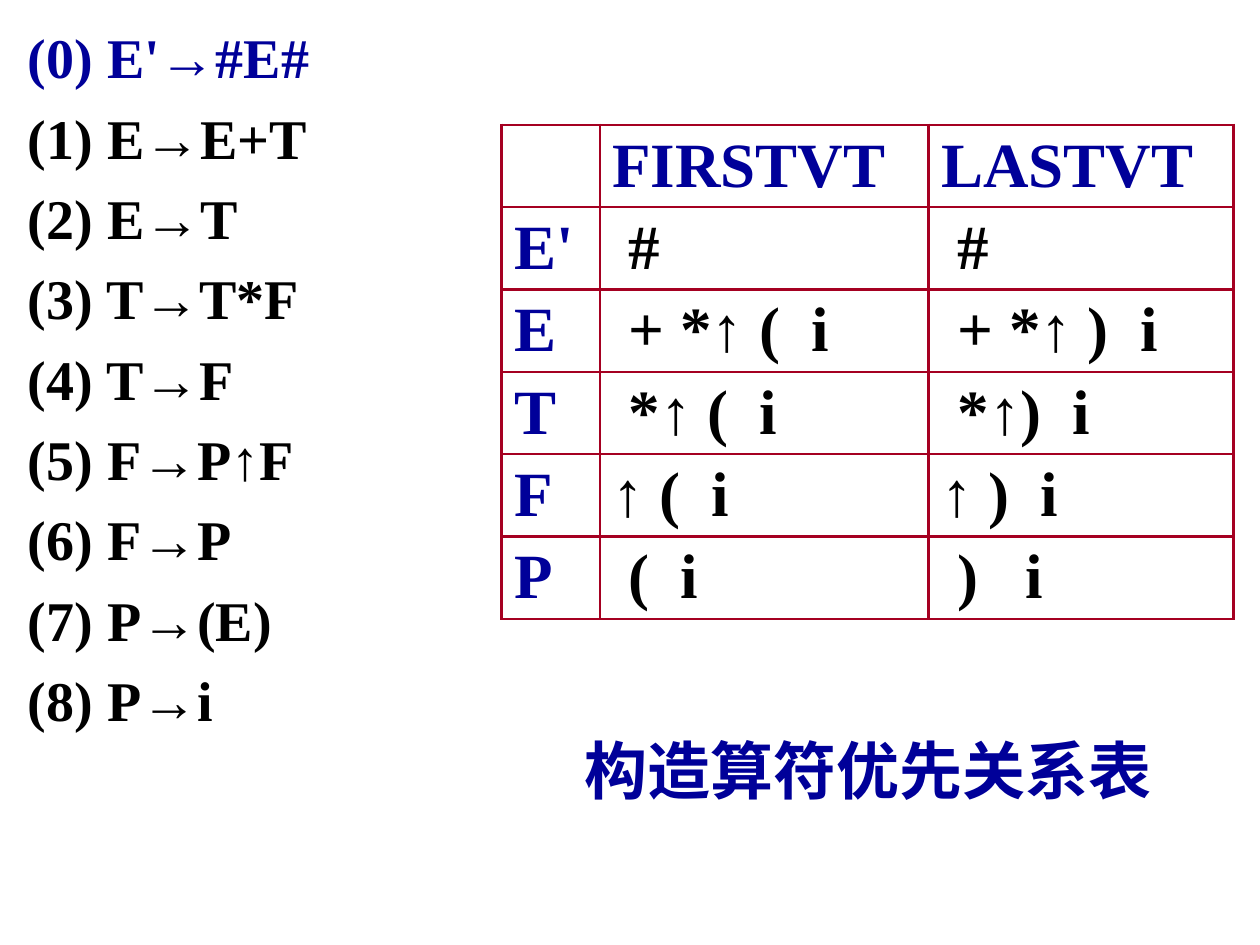
from pptx import Presentation
from pptx.dml.color import RGBColor
from pptx.enum.text import MSO_ANCHOR as Anchor, PP_ALIGN as Align
from pptx.oxml.ns import qn
from pptx.util import Inches, Pt
from lxml import etree

NAVY = RGBColor(0x00, 0x00, 0x99)
BLACK = RGBColor(0x00, 0x00, 0x00)
CRIMSON = RGBColor(0xA5, 0x00, 0x21)

PRODUCTIONS = ["E'→#E#", "E→E+T", "E→T", "T→T*F", "T→F", "F→P↑F", "F→P", "P→(E)", "P→i"]

# Each set: left indent, symbols, tab position of the last symbol (inches)
SETS = {
    "E'": [(0.13, "#", 0), (0.13, "#", 0)],
    "E": [(0.13, "+ *↑ (\ti", 1.45), (0.13, "+ *↑ )\ti", 1.45)],
    "T": [(0.13, "*↑ (\ti", 1.04), (0.13, "*↑)\ti", 0.91)],
    "F": [(0, "↑ (\ti", 0.79), (0, "↑ )\ti", 0.79)],
    "P": [(0.13, "(\ti", 0.41), (0.13, ")\ti", 0.54)],
}


class SlideBuilder:
    font_format = {"name": "Times New Roman", "bold": True}

    def __init__(self, presentation):
        self.slide = presentation.slides.add_slide(presentation.slide_layouts[1])

    def place(self, shape, left, top, width, height):
        box = {"left": left, "top": top, "width": width, "height": height}
        for name, value in box.items():
            setattr(shape, name, Inches(value))

    def set_text(self, paragraph, text, size, color):
        paragraph.text = text
        for name, value in {**self.font_format, "size": Pt(size)}.items():
            setattr(paragraph.font, name, value)
        paragraph.font.color.rgb = color

    def add_title(self, text, *box):
        title = self.slide.shapes.title
        self.place(title, *box)
        title.text_frame.vertical_anchor = Anchor.MIDDLE
        paragraph = title.text_frame.paragraphs[0]
        self.set_text(paragraph, text, 36, NAVY)
        paragraph.alignment = Align.CENTER

    def add_productions(self, productions, *box):
        body = self.slide.placeholders[1]
        self.place(body, *box)
        frame = body.text_frame
        for number, production in enumerate(productions):
            paragraph = frame.add_paragraph() if number else frame.paragraphs[0]
            properties = paragraph._p.get_or_add_pPr()
            properties.set("marL", str(Inches(0.38)))
            properties.set("indent", str(-Inches(0.38)))
            etree.SubElement(properties, qn("a:buNone"))
            self.set_text(paragraph, f"({number}) {production}", 32, BLACK if number else NAVY)
            paragraph.space_before = Pt(7.5 if number else 0)

    def add_table(self, header, sets, left, top, column_widths, row_height):
        row_count = len(sets) + 1
        table = self.slide.shapes.add_table(
            row_count, len(column_widths), Inches(left), Inches(top),
            Inches(sum(column_widths)), Inches(row_height * row_count)).table
        for column, width in zip(table.columns, column_widths):
            column.width = Inches(width)
        for row in table.rows:
            row.height = Inches(row_height)
        for cell in table.iter_cells():
            self.frame_cell(cell)
        for column, text in enumerate(header):
            self.fill_cell(table.cell(0, column), text, NAVY)
        for row, (symbol, entries) in enumerate(sets.items(), 1):
            self.fill_cell(table.cell(row, 0), symbol, NAVY)
            for column, (indent, text, tab) in enumerate(entries, 1):
                self.fill_cell(table.cell(row, column), text, BLACK, indent, tab)

    def frame_cell(self, cell):
        properties = cell._tc.get_or_add_tcPr()
        for side in ("lnL", "lnR", "lnT", "lnB"):
            line = etree.SubElement(properties, qn(f"a:{side}"), w=str(Pt(1.5)))
            fill = etree.SubElement(line, qn("a:solidFill"))
            etree.SubElement(fill, qn("a:srgbClr"), val=str(CRIMSON))
        cell.fill.background()

    def fill_cell(self, cell, text, color, indent=0, tab=0):
        cell.margin_left = Inches(0.1 + indent)
        paragraph = cell.text_frame.paragraphs[0]
        if tab:
            tabs = etree.SubElement(paragraph._p.get_or_add_pPr(), qn("a:tabLst"))
            etree.SubElement(tabs, qn("a:tab"), pos=str(Inches(tab)), algn="l")
        self.set_text(paragraph, text, 36, color)


def main():
    presentation = Presentation()
    presentation.slide_width, presentation.slide_height = Inches(10), Inches(7.5)
    builder = SlideBuilder(presentation)
    builder.add_productions(PRODUCTIONS, 0.12, 0.13, 3.23, 6.14)
    builder.add_table(["", "FIRSTVT", "LASTVT"], SETS, 3.98, 0.99, [0.78, 2.61, 2.42], 0.65)
    builder.add_title("构造算符优先关系表", 4.29, 5.32, 5.2, 1.57)
    presentation.save("out.pptx")


if __name__ == "__main__":
    main()
